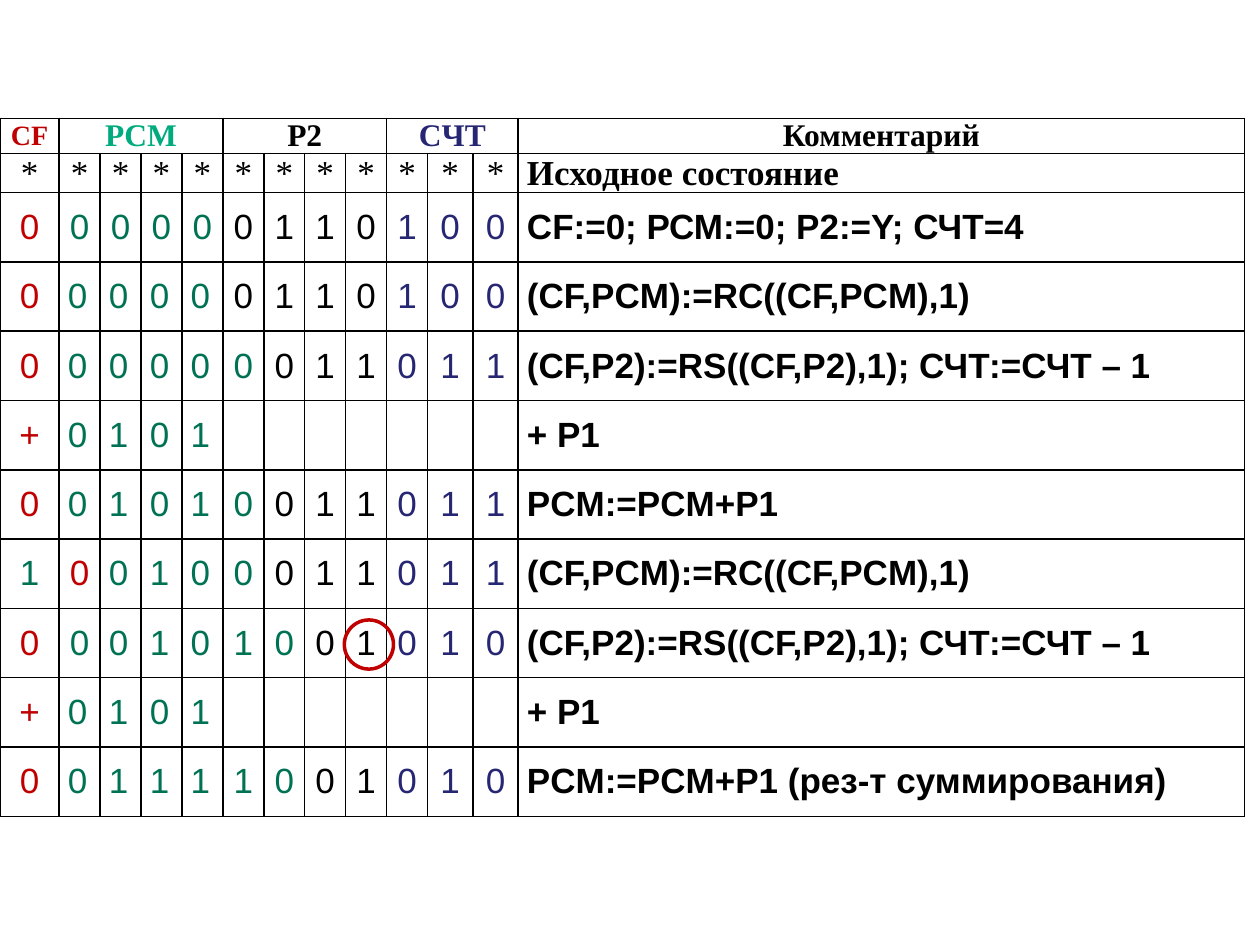
from lxml.etree import SubElement
from pptx import Presentation
from pptx.dml.color import RGBColor
from pptx.enum.shapes import MSO_SHAPE as Shape
from pptx.enum.text import MSO_ANCHOR as Anchor, PP_ALIGN as Align
from pptx.oxml.ns import qn
from pptx.util import Inches, Pt

BLACK, RED, GREEN, BLUE, TEAL = "000000", "C00000", "007254", "262673", "00AB7E"
INK = {"k": BLACK, "r": RED, "g": GREEN, "b": BLUE}
SERIF, SANS = "Times New Roman", "Arial"

BIT_WIDTH, COUNTER_WIDTH, TABLE_WIDTH = 0.325, 0.36, 9.88
BIT_WIDTHS = [0.47] + [BIT_WIDTH] * 9 + [COUNTER_WIDTH] * 2
WIDTHS = BIT_WIDTHS + [TABLE_WIDTH - sum(BIT_WIDTHS)]
HEIGHTS = [0.28] * 2 + [0.55] * 9
COMMENT = len(BIT_WIDTHS)
PCM_END = 5

# title, first column, columns spanned, size, colour
HEADERS = [
    ("CF", 0, 1, 16, RED),
    ("PCM", 1, 4, 18, TEAL),
    ("P2", 5, 4, 18, BLACK),
    ("CЧТ", 9, 3, 18, BLUE),
    ("Комментарий", COMMENT, 1, 18, BLACK),
]

ROTATE = "(CF,PCM):=RС((CF,PCM),1)"
SHIFT = "(CF,P2):=RS((CF,P2),1); СЧТ:=СЧТ – 1"
# bits, their colours, number of leading centred columns, comment
STEPS = [
    ("000000110100", "rggggkkkkbbb", 5, "CF:=0; РСМ:=0; Р2:=Y; СЧТ=4"),
    ("000000110100", "rggggkkkkbbb", 1, ROTATE),
    ("000000011011", "rgggggkkkbbb", 1, SHIFT),
    ("+0101", "rgggg", 1, "+ P1"),
    ("001010011011", "rgggggkkkbbb", 1, "PCM:=PCM+P1"),
    ("100100011011", "grggggkkkbbb", 2, ROTATE),
    ("000101001010", "rggggggkkbbb", 2, SHIFT),
    ("+0101", "rgggg", 1, "+ P1"),
    ("001111001010", "rggggggkkbbb", 1, "PCM:=PCM+P1 (рез-т суммирования)"),
]


def rgb(hex_colour):
    return RGBColor.from_string(hex_colour)


def draw_borders(cell):
    properties = cell._tc.get_or_add_tcPr()
    for position, side in enumerate(("lnL", "lnR", "lnT", "lnB")):
        line = properties.makeelement(qn(f"a:{side}"), {"w": str(Pt(1))})
        fill = SubElement(line, qn("a:solidFill"))
        SubElement(fill, qn("a:srgbClr"), val=BLACK)
        properties.insert(position, line)


def format_cell(cell):
    cell.fill.background()
    draw_borders(cell)
    cell.vertical_anchor = Anchor.MIDDLE
    cell.margin_left = cell.margin_right = Inches(0.07)
    cell.margin_top = cell.margin_bottom = 0


def write(cell, text, colour, font=SANS, size=20, bold=False, align=Align.CENTER):
    paragraph = cell.text_frame.paragraphs[0]
    paragraph.alignment = align
    paragraph.space_after = Pt(3)
    run = paragraph.add_run()
    run.text = text
    run.font.name = font
    run.font.size = Pt(size)
    run.font.bold = bold
    run.font.color.rgb = rgb(colour)


def fill_headers(table):
    for title, first, span, size, colour in HEADERS:
        cell = table.cell(0, first)
        if span > 1:
            cell.merge(table.cell(0, first + span - 1))
        write(cell, title, colour, SERIF, size, bold=True)
    for column in range(COMMENT):
        write(table.cell(1, column), "*", BLACK, SERIF)
    write(table.cell(1, COMMENT), "Исходное состояние", BLACK, SERIF,
          bold=True, align=Align.LEFT)


def fill_steps(table):
    for row, (bits, inks, centred, comment) in enumerate(STEPS, start=2):
        for column, (bit, ink) in enumerate(zip(bits, inks)):
            align = Align.LEFT if centred <= column < PCM_END else Align.CENTER
            write(table.cell(row, column), bit, INK[ink], align=align)
        write(table.cell(row, COMMENT), comment, BLACK, bold=True, align=Align.LEFT)


def add_trace_table(slide, left, top):
    frame = slide.shapes.add_table(
        len(HEIGHTS), len(WIDTHS), Inches(left), Inches(top),
        Inches(TABLE_WIDTH), Inches(sum(HEIGHTS)))
    table = frame.table
    table.first_row = table.horz_banding = False
    for column, width in zip(table.columns, WIDTHS):
        column.width = Inches(width)
    for row, height in zip(table.rows, HEIGHTS):
        row.height = Inches(height)
    for cell in table.iter_cells():
        format_cell(cell)
    fill_headers(table)
    fill_steps(table)


def circle_bit(slide, left, top, row, column, diameter=0.39):
    """Ring one bit of the table whose corner is at left, top."""
    center_x = left + sum(WIDTHS[:column]) + WIDTHS[column] / 2 + 0.02
    center_y = top + sum(HEIGHTS[:row]) + HEIGHTS[row] / 2 + 0.04
    ring = slide.shapes.add_shape(
        Shape.OVAL, Inches(center_x - diameter / 2), Inches(center_y - diameter / 2),
        Inches(diameter), Inches(diameter))
    ring.shadow.inherit = False
    ring.fill.background()
    ring.line.color.rgb = rgb(RED)
    ring.line.width = Pt(2)


def main():
    presentation = Presentation()
    presentation.slide_width = Inches(10)
    presentation.slide_height = Inches(7.5)
    slide = presentation.slides.add_slide(presentation.slide_layouts[6])
    left, top = 0, 0.94
    add_trace_table(slide, left, top)
    circle_bit(slide, left, top, row=8, column=8)
    presentation.save("out.pptx")


if __name__ == "__main__":
    main()
